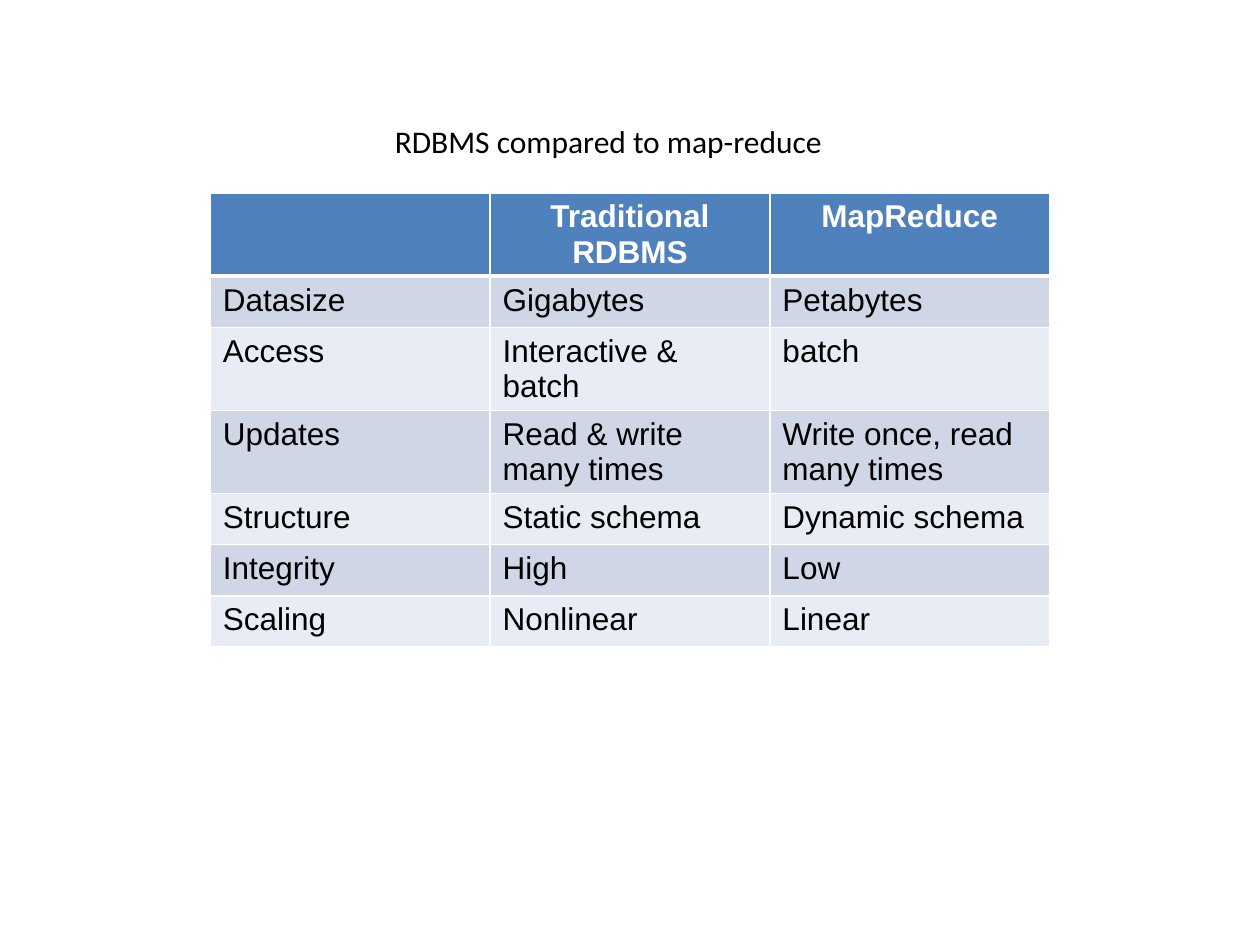
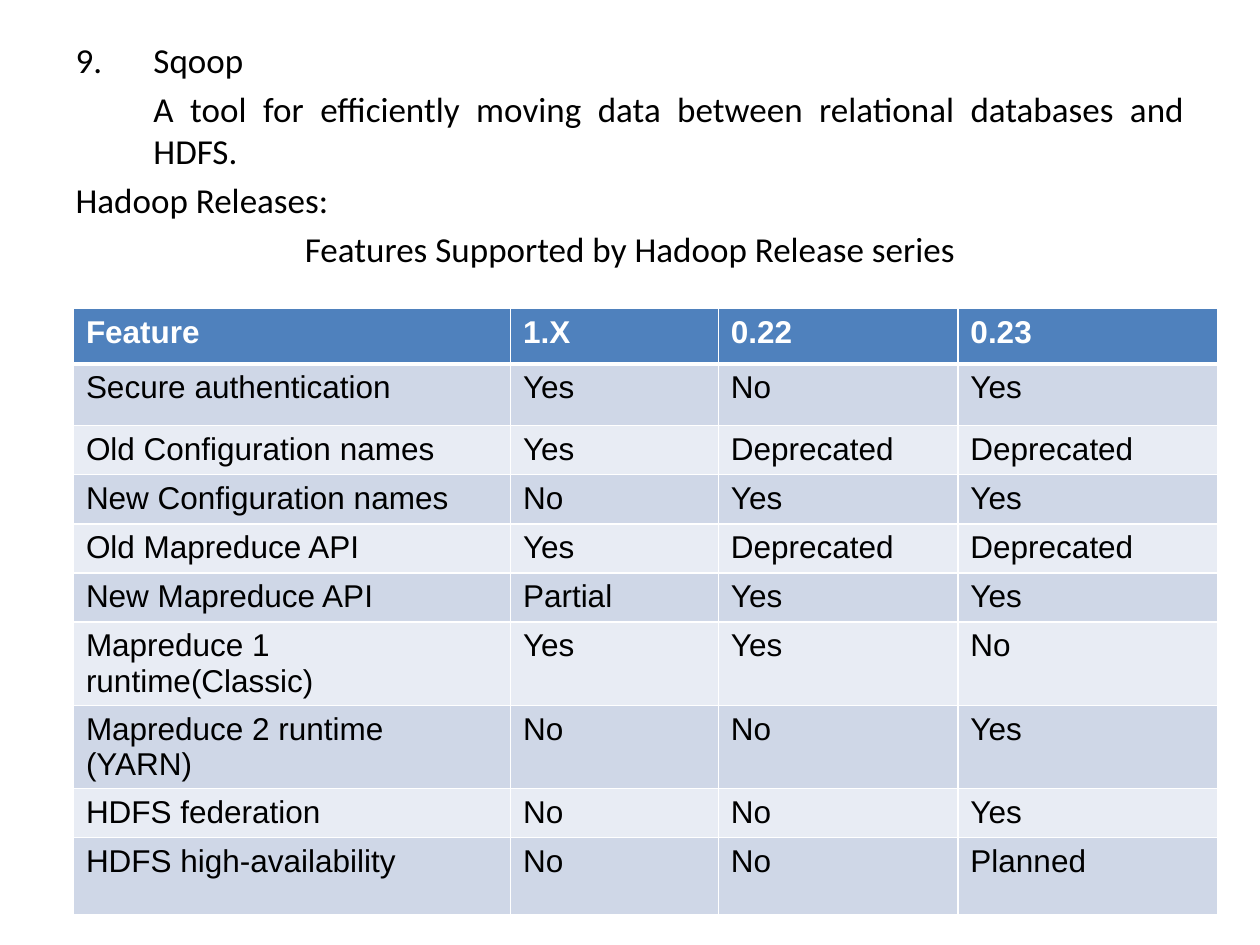
from dataclasses import dataclass

from lxml.etree import SubElement
from pptx import Presentation
from pptx.dml.color import RGBColor
from pptx.enum.text import MSO_ANCHOR, MSO_AUTO_SIZE, PP_ALIGN
from pptx.oxml import parse_xml
from pptx.oxml.ns import nsdecls, qn
from pptx.util import Cm, Pt


@dataclass(frozen=True)
class Theme:
    text: RGBColor = RGBColor(0x00, 0x00, 0x00)
    header_text: RGBColor = RGBColor(0xFF, 0xFF, 0xFF)
    header_fill: RGBColor = RGBColor(0x4F, 0x81, 0xBD)
    band_fills: tuple = (RGBColor(0xCF, 0xD7, 0xE7), RGBColor(0xE8, 0xEC, 0xF4))
    grid_line: RGBColor = RGBColor(0xFF, 0xFF, 0xFF)
    text_font: str = "Calibri"
    table_font: str = "Arial"
    title_size: Pt = Pt(18)
    body_size: Pt = Pt(20)
    table_size: Pt = Pt(18)
    grid_width: Pt = Pt(1)
    header_rule_width: Pt = Pt(3)


@dataclass
class ListItem:
    text: str
    align: PP_ALIGN = PP_ALIGN.JUSTIFY
    number: int = 0
    indented: bool = False


class Deck:
    TITLE_AND_CONTENT, TITLE_ONLY = 1, 5
    LIST_INDENT = Cm(1.57)

    def __init__(self, theme):
        self.theme = theme
        self.presentation = Presentation()
        self.presentation.slide_width = Cm(25.4)
        self.presentation.slide_height = Cm(19.05)
        self.slide = None

    def new_slide(self, layout_index):
        layout = self.presentation.slide_layouts[layout_index]
        self.slide = self.presentation.slides.add_slide(layout)

    def style_font(self, paragraph, name, size, color, bold=False):
        font = paragraph.font
        font.name, font.size, font.bold = name, size, bold
        font.color.rgb = color

    def place(self, shape, left, top, width, height):
        """Move a placeholder and let its text start at the top, unscaled."""
        shape.left, shape.top = Cm(left), Cm(top)
        shape.width, shape.height = Cm(width), Cm(height)
        frame = shape.text_frame
        frame.word_wrap = True
        frame.auto_size = MSO_AUTO_SIZE.NONE
        frame.vertical_anchor = MSO_ANCHOR.TOP
        return frame

    def title(self, text, *box):
        frame = self.place(self.slide.shapes.title, *box)
        frame.text = text
        paragraph = frame.paragraphs[0]
        paragraph.alignment = PP_ALIGN.CENTER
        self.style_font(paragraph, self.theme.text_font,
                        self.theme.title_size, self.theme.text)

    def remove_title(self):
        element = self.slide.shapes.title.element
        element.getparent().remove(element)

    def body(self, items, *box):
        frame = self.place(self.slide.placeholders[1], *box)
        for index, item in enumerate(items):
            paragraph = frame.add_paragraph() if index else frame.paragraphs[0]
            paragraph.text = item.text
            paragraph.alignment = item.align
            self.set_bullet(paragraph, item)
            paragraph.space_before = Pt(4 if index else 0)
            self.style_font(paragraph, self.theme.text_font,
                            self.theme.body_size, self.theme.text)

    def set_bullet(self, paragraph, item):
        properties = paragraph._p.get_or_add_pPr()
        has_margin = item.number or item.indented
        properties.set("marL", str(self.LIST_INDENT if has_margin else 0))
        properties.set("indent", str(-self.LIST_INDENT if item.number else 0))
        if item.number:
            SubElement(properties, qn("a:buFont"), typeface="+mj-lt")
            SubElement(properties, qn("a:buAutoNum"),
                       type="arabicPeriod", startAt=str(item.number))
        else:
            SubElement(properties, qn("a:buNone"))

    def table(self, rows, left, top, column_widths, row_heights,
              header_align=PP_ALIGN.LEFT):
        frame = self.slide.shapes.add_table(
            len(rows), len(column_widths), Cm(left), Cm(top),
            Cm(sum(column_widths)), Cm(sum(row_heights)))
        table = frame.table
        for column, width in zip(table.columns, column_widths):
            column.width = Cm(width)
        for row, height in zip(table.rows, row_heights):
            row.height = Cm(height)
        for row_index, texts in enumerate(rows):
            align = PP_ALIGN.LEFT if row_index else header_align
            for column_index, text in enumerate(texts):
                cell = table.cell(row_index, column_index)
                self.fill_cell(cell, text, row_index, align)

    def fill_cell(self, cell, text, row_index, align):
        theme = self.theme
        is_header = row_index == 0
        cell.text = text
        paragraph = cell.text_frame.paragraphs[0]
        paragraph.alignment = align
        self.style_font(paragraph, theme.table_font, theme.table_size,
                        theme.header_text if is_header else theme.text, is_header)
        cell.fill.solid()
        cell.fill.fore_color.rgb = (
            theme.header_fill if is_header else theme.band_fills[(row_index - 1) % 2])
        self.set_borders(cell, row_index)

    def set_borders(self, cell, row_index):
        """White grid, with a thicker rule between header and first row."""
        thick_side = {0: "lnB", 1: "lnT"}.get(row_index)
        properties = cell._tc.get_or_add_tcPr()
        for position, side in enumerate(("lnL", "lnR", "lnT", "lnB")):
            width = (self.theme.header_rule_width if side == thick_side
                     else self.theme.grid_width)
            properties.insert(position, parse_xml(
                f'<a:{side} {nsdecls("a")} w="{width}"><a:solidFill>'
                f'<a:srgbClr val="{self.theme.grid_line}"/>'
                f'</a:solidFill></a:{side}>'))


def add_comparison_slide(deck):
    rows = [
        ("", "Traditional RDBMS", "MapReduce"),
        ("Datasize", "Gigabytes", "Petabytes"),
        ("Access", "Interactive & batch", "batch"),
        ("Updates", "Read & write many times", "Write once, read many times"),
        ("Structure", "Static schema", "Dynamic schema"),
        ("Integrity", "High", "Low"),
        ("Scaling", "Nonlinear", "Linear"),
    ]
    deck.new_slide(deck.TITLE_ONLY)
    deck.title("RDBMS compared to map-reduce", 5.28, 2.34, 13.97, 1.07)
    deck.table(rows, 4.24, 3.89, [5.64] * 3, [1.03] * len(rows), PP_ALIGN.CENTER)


def add_releases_slide(deck):
    items = [
        ListItem("Sqoop", number=9),
        ListItem("A tool for efficiently moving data between relational "
                 "databases and HDFS.", indented=True),
        ListItem("Hadoop Releases:"),
        ListItem("Features Supported by Hadoop Release series", PP_ALIGN.CENTER),
    ]
    rows = [
        ("Feature", "1.X", "0.22", "0.23"),
        ("Secure authentication", "Yes", "No", "Yes"),
        ("Old Configuration names", "Yes", "Deprecated", "Deprecated"),
        ("New Configuration names", "No", "Yes", "Yes"),
        ("Old Mapreduce API", "Yes", "Deprecated", "Deprecated"),
        ("New Mapreduce API", "Partial", "Yes", "Yes"),
        ("Mapreduce 1 runtime(Classic)", "Yes", "Yes", "No"),
        ("Mapreduce 2 runtime (YARN)", "No", "No", "Yes"),
        ("HDFS federation", "No", "No", "Yes"),
        ("HDFS high-availability", "No", "No", "Planned"),
    ]
    deck.new_slide(deck.TITLE_AND_CONTENT)
    deck.remove_title()
    deck.body(items, 1.27, 0.64, 22.86, 16.38)
    deck.table(rows, 1.48, 6.22, [8.81, 4.19, 4.83, 5.23],
               [1.12, 1.24] + [0.99] * 7 + [1.55])


def main():
    deck = Deck(Theme())
    add_comparison_slide(deck)
    add_releases_slide(deck)
    deck.presentation.save("out.pptx")


if __name__ == "__main__":
    main()
